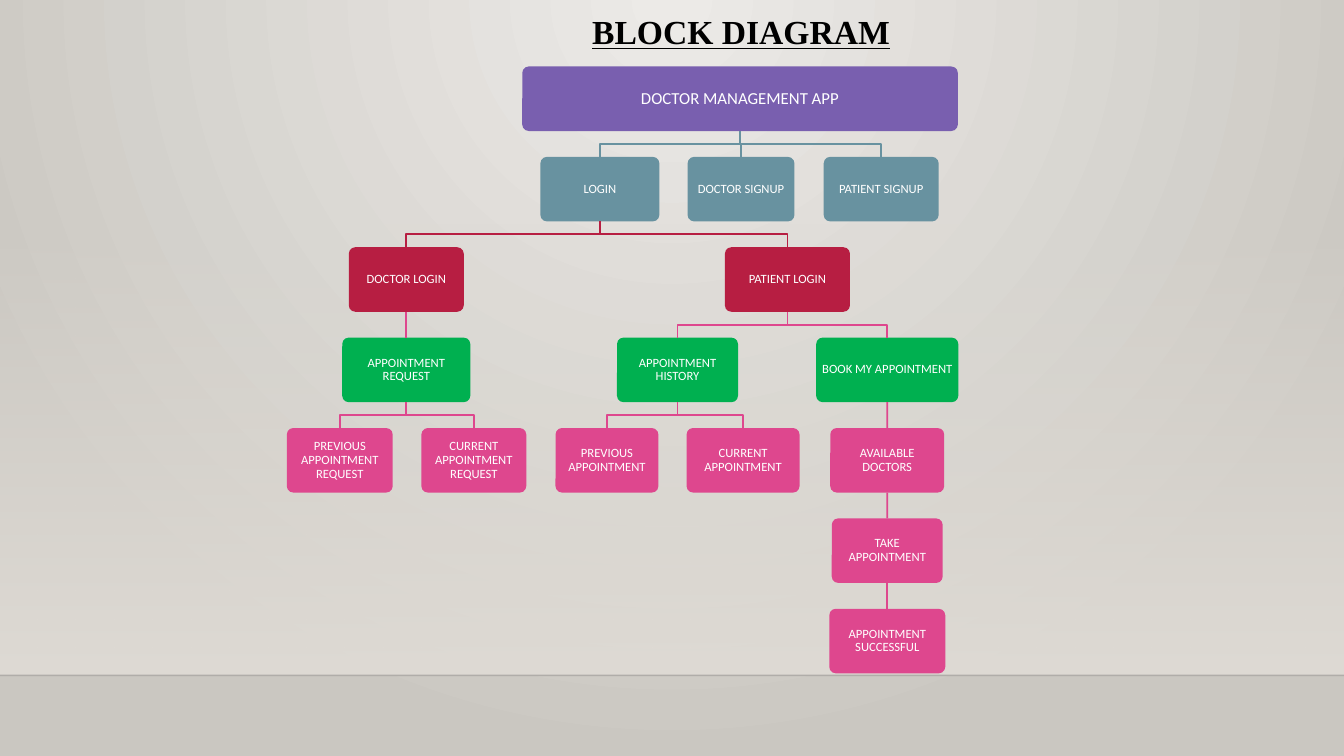
from lxml import etree
from pptx import Presentation
from pptx.dml.color import RGBColor
from pptx.enum.shapes import MSO_CONNECTOR, MSO_SHAPE
from pptx.enum.text import MSO_ANCHOR, PP_ALIGN
from pptx.oxml.ns import qn
from pptx.util import Inches, Pt

COLORS = {
    "light": "ECEAE7", "dark": "CAC7C1", "wall": "DFDBD5", "edge": "000001",
    "black": "000000", "white": "FFFFFF", "purple": "795FAF", "teal": "6892A0",
    "red": "B71E42", "green": "00B050", "pink": "DE478E",
}
BOX_COLORS = ["purple", "teal", "red", "green", "pink", "pink", "pink"]
LINK_COLORS = [None, "teal", "red", "pink", "pink", "pink", "pink"]
FIRST_TOP, LAST_TOP, BOX_HEIGHT = 0.66, 6.04, 0.64
LEVEL_STEP = (LAST_TOP - FIRST_TOP) / 6

BLOCKS = [
    ("DOCTOR MANAGEMENT APP", None, 0, 7.34, 4.32),
    ("LOGIN", "DOCTOR MANAGEMENT APP", 1, 5.95, 1.18),
    ("DOCTOR SIGNUP", "DOCTOR MANAGEMENT APP", 1, 7.35, 1.06),
    ("PATIENT SIGNUP", "DOCTOR MANAGEMENT APP", 1, 8.74, 1.14),
    ("DOCTOR LOGIN", "LOGIN", 2, 4.03, 1.14),
    ("PATIENT LOGIN", "LOGIN", 2, 7.81, 1.24),
    ("APPOINTMENT REQUEST", "DOCTOR LOGIN", 3, 4.03, 1.27),
    ("APPOINTMENT HISTORY", "PATIENT LOGIN", 3, 6.72, 1.2),
    ("BOOK MY APPOINTMENT", "PATIENT LOGIN", 3, 8.8, 1.41),
    ("PREVIOUS APPOINTMENT REQUEST", "APPOINTMENT REQUEST", 4, 3.37, 1.05),
    ("CURRENT APPOINTMENT REQUEST", "APPOINTMENT REQUEST", 4, 4.7, 1.04),
    ("PREVIOUS APPOINTMENT", "APPOINTMENT HISTORY", 4, 6.02, 1.02),
    ("CURRENT APPOINTMENT", "APPOINTMENT HISTORY", 4, 7.37, 1.12),
    ("AVAILABLE DOCTORS", "BOOK MY APPOINTMENT", 4, 8.8, 1.13),
    ("TAKE APPOINTMENT", "AVAILABLE DOCTORS", 5, 8.8, 1.1),
    ("APPOINTMENT SUCCESSFUL", "TAKE APPOINTMENT", 6, 8.8, 1.15),
]


def rgb(name):
    return RGBColor.from_string(COLORS[name])


def add_straight(x1, y1, x2, y2, color, width):
    straight = shapes.add_connector(MSO_CONNECTOR.STRAIGHT, x1, y1, x2, y2)
    straight.line.color.rgb = rgb(color)
    straight.line.width = Pt(width)
    etree.SubElement(straight.element.spPr, qn("a:effectLst"))
    return straight


prs = Presentation()
prs.slide_width, prs.slide_height = Inches(13.33), Inches(7.5)
slide = prs.slides.add_slide(prs.slide_layouts[6])
shapes = slide.shapes

backdrop = slide.background.fill
backdrop.gradient()
for stop, color in zip(backdrop.gradient_stops, ("light", "dark")):
    stop.color.rgb = rgb(color)
backdrop_grad = slide.element.find(".//" + qn("a:gradFill"))
backdrop_grad.remove(backdrop_grad.find(qn("a:lin")))
glow = etree.SubElement(backdrop_grad, qn("a:path"), path="circle")
etree.SubElement(glow, qn("a:fillToRect"), l="43000", t="0", r="43000", b="100000")

wall = shapes.add_shape(MSO_SHAPE.RECTANGLE, 0, Inches(2.21), Inches(13.33), Inches(4.49))
wall.shadow.inherit = False
wall.line.fill.background()
wall.fill.gradient()
wall.fill.gradient_angle = 270
for stop in wall.fill.gradient_stops:
    stop.color.rgb = rgb("wall")
wall_color = wall.element.spPr.find(".//" + qn("a:srgbClr"))
etree.SubElement(wall_color, qn("a:alpha"), val="0")

floor_edge = add_straight(0, Inches(6.7), Inches(13.33), Inches(6.7), "edge", 1)
edge_color = floor_edge.element.spPr.find(".//" + qn("a:srgbClr"))
etree.SubElement(edge_color, qn("a:alpha"), val="20000")

title = shapes.add_textbox(Inches(4.39), Inches(0.03), Inches(5.92), Inches(0.56)).text_frame
title.word_wrap = True
title.vertical_anchor = MSO_ANCHOR.MIDDLE
heading = title.paragraphs[0]
heading.text = "BLOCK DIAGRAM"
heading.alignment = PP_ALIGN.CENTER
heading.font.name, heading.font.size = "Times New Roman", Pt(24)
heading.font.bold = heading.font.underline = True
heading.font.color.rgb = rgb("black")

placed = {}
for label, parent_label, level, center, width in BLOCKS:
    top = FIRST_TOP + level * LEVEL_STEP
    block = shapes.add_shape(MSO_SHAPE.ROUNDED_RECTANGLE, Inches(center - width / 2),
                             Inches(top), Inches(width), Inches(BOX_HEIGHT))
    block.adjustments[0] = 0.1
    block.shadow.inherit = False
    block.fill.solid()
    block.fill.fore_color.rgb = rgb(BOX_COLORS[level])
    block.line.fill.background()
    frame = block.text_frame
    frame.word_wrap = True
    frame.vertical_anchor = MSO_ANCHOR.MIDDLE
    frame.margin_left = frame.margin_right = Inches(0.03)
    frame.margin_top = frame.margin_bottom = Inches(0.03)
    caption = frame.paragraphs[0]
    caption.text = label
    caption.alignment = PP_ALIGN.CENTER
    caption.line_spacing = 0.9
    caption.font.name, caption.font.size = "Calibri", Pt(9 if level else 12)
    caption.font.color.rgb = rgb("white")
    placed[label] = (block, center)

    if parent_label is None:
        continue
    parent, parent_center = placed[parent_label]
    start_x, end_x = Inches(parent_center), Inches(center)
    start_y, end_y = parent.top + parent.height, block.top
    if start_x == end_x:
        link = add_straight(start_x, start_y, end_x, end_y, LINK_COLORS[level], 1.25)
        link.begin_connect(parent, 2)
        link.end_connect(block, 0)
    else:
        middle_y = (start_y + end_y) // 2
        route = shapes.build_freeform(start_x, start_y)
        route.add_line_segments([(start_x, middle_y), (end_x, middle_y), (end_x, end_y)],
                                close=False)
        elbow = route.convert_to_shape()
        elbow.shadow.inherit = False
        elbow.fill.background()
        elbow.line.color.rgb = rgb(LINK_COLORS[level])
        elbow.line.width = Pt(1.25)

prs.save("out.pptx")
